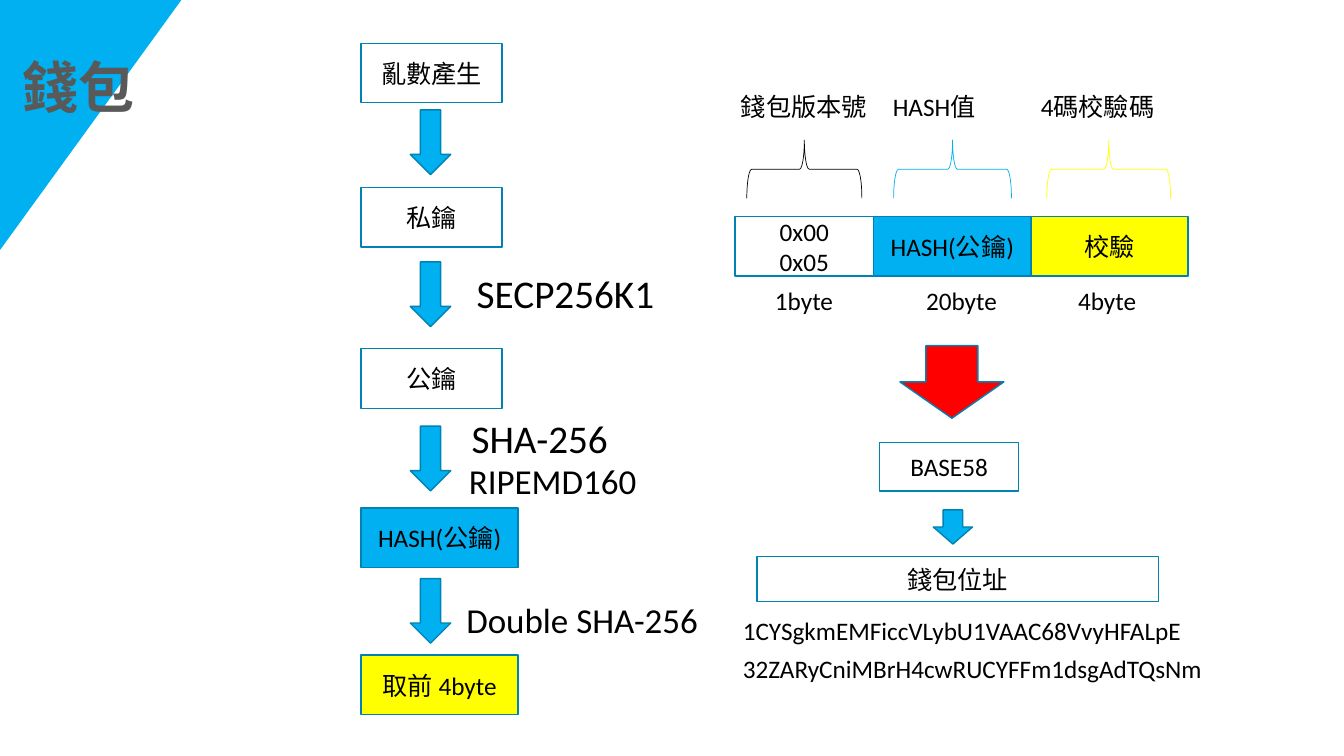
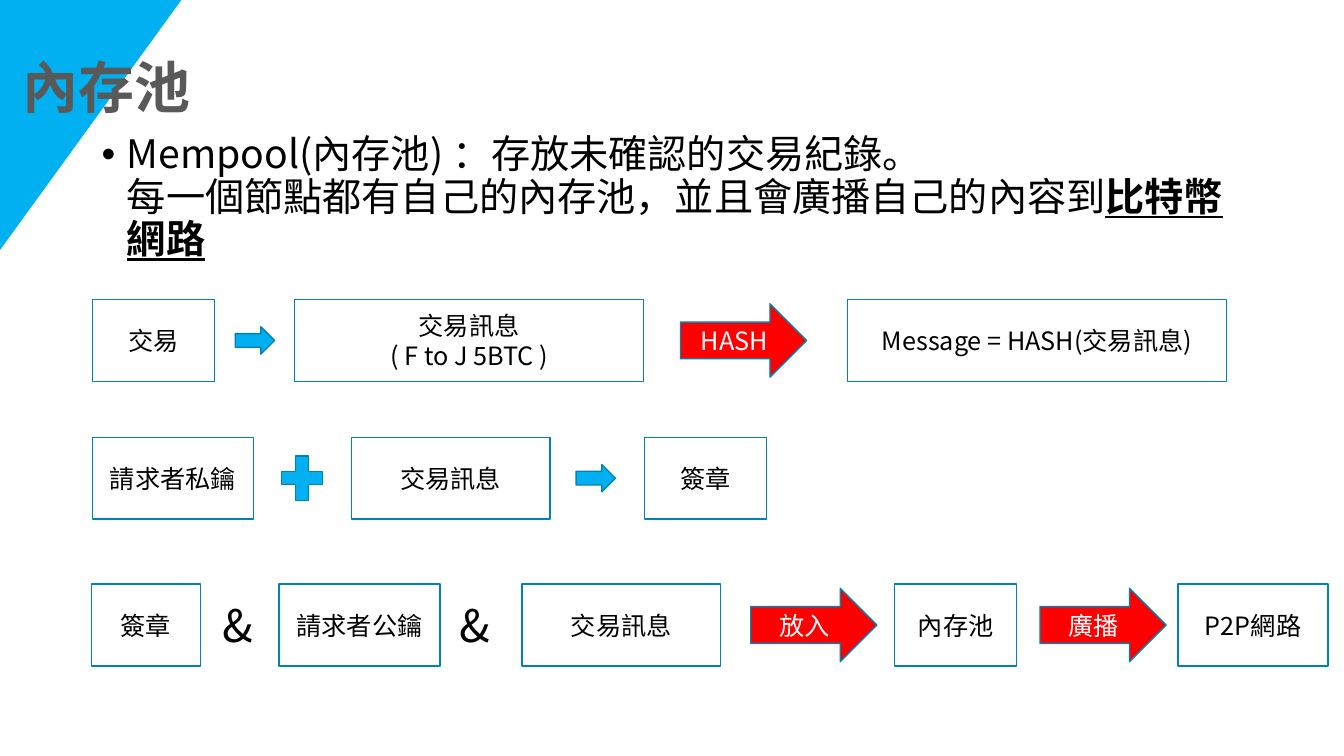
from lxml import etree
from pptx import Presentation
from pptx.dml.color import RGBColor
from pptx.enum.shapes import MSO_SHAPE
from pptx.enum.text import MSO_ANCHOR, PP_ALIGN
from pptx.oxml.ns import qn
from pptx.util import Cm, Pt

RECT, BRACE, TRIANGLE = MSO_SHAPE.RECTANGLE, MSO_SHAPE.LEFT_BRACE, MSO_SHAPE.ISOSCELES_TRIANGLE
DOWN, RIGHT, PLUS = MSO_SHAPE.DOWN_ARROW, MSO_SHAPE.RIGHT_ARROW, MSO_SHAPE.MATH_PLUS
LEFT, CENTER = PP_ALIGN.LEFT, PP_ALIGN.CENTER
TOP, MIDDLE = MSO_ANCHOR.TOP, MSO_ANCHOR.MIDDLE

BLUE, EDGE, RED, YELLOW = "00B0F0", "0082B2", "FF0000", "FFFF00"
WHITE, BLACK, GREY = "FFFFFF", "000000", "595959"
CALIBRI, ADVENTOR = "Calibri", "TeX Gyre Adventor"
NOTO, NOTO_TC = "Noto Sans CJK SC", "Noto Sans CJK TC"


def colour(value):
    return RGBColor.from_string(value)


def write(shape, text, font=CALIBRI, size=18, color=BLACK, bold=False,
          align=LEFT, anchor=TOP, spacing=None):
    """Fill a shape with one paragraph; text is a string or (string, overrides) runs."""
    frame = shape.text_frame
    frame.word_wrap = True
    frame.vertical_anchor = anchor
    paragraph = frame.paragraphs[0]
    paragraph.alignment = align
    if spacing:
        paragraph.line_spacing = spacing
    for content, overrides in [(text, {})] if isinstance(text, str) else text:
        for number, line in enumerate(content.split("\n")):
            if number:
                paragraph.add_line_break()
            run = paragraph.add_run()
            run.text = line
            style = run.font
            style.name = overrides.get("font", font)
            style.size = Pt(size)
            style.bold = overrides.get("bold", bold)
            style.underline = overrides.get("underline")
            style.color.rgb = colour(color)
            east_asian = etree.SubElement(run._r.get_or_add_rPr(), qn("a:ea"))
            east_asian.set("typeface", style.name if "Noto" in style.name else NOTO)
    return paragraph


def add_text(slide, x, y, width, height, text, **style):
    box = slide.shapes.add_textbox(Cm(x), Cm(y), Cm(width), Cm(height))
    return write(box, text, **style)


def add_figure(slide, kind, x, y, width, height, fill=None, line=EDGE, weight=1,
               text="", **style):
    figure = slide.shapes.add_shape(kind, Cm(x), Cm(y), Cm(width), Cm(height))
    figure.shadow.inherit = False
    if fill:
        figure.fill.solid()
        figure.fill.fore_color.rgb = colour(fill)
    else:
        figure.fill.background()
    if line:
        figure.line.color.rgb = colour(line)
        figure.line.width = Pt(weight)
    else:
        figure.line.fill.background()
    if text:
        write(figure, text, align=CENTER, anchor=MIDDLE, **style)
    return figure


def add_top_brace(slide, x, y, width, height, color):
    """Draw a brace that points up and fills the given box."""
    brace = add_figure(slide, BRACE, x + (width - height) / 2, y + (height - width) / 2,
                       height, width, line=color, weight=0.5)
    brace.rotation = 90


def add_titled_slide(deck, title, font):
    slide = deck.slides.add_slide(deck.slide_layouts[6])
    corner = add_figure(slide, TRIANGLE, 0, 0, 4.57, 6.3, BLUE, line=None)
    corner.adjustments[0] = 1
    corner.rotation = 180
    add_text(slide, 0.33, 1.09, 17.17, 2.01, title, font=font, size=40,
             color=GREY, bold=True, anchor=MIDDLE, spacing=1.1)
    return slide


def add_key_derivation(slide, left, top):
    stages = [
        (0, 3.55, "亂數產生", WHITE),
        (3.64, 3.55, "私鑰", WHITE),
        (7.7, 3.55, "公鑰", WHITE),
        (11.71, 3.96, "HASH(公鑰)", BLUE),
        (15.42, 3.96, "取前 4byte", YELLOW),
    ]
    for y, width, text, fill in stages:
        add_figure(slide, RECT, left, top + y, width, 1.5, fill, text=text)
    for y in (1.68, 5.51, 9.65, 13.49):
        add_figure(slide, DOWN, left + 1.24, top + y, 1.02, 1.63, BLUE)
    algorithms = [
        (2.6, 5.56, 5.1, "SECP256K1", 28),
        (2.45, 9.22, 4.1, "SHA-256", 28),
        (2.4, 10.37, 4.85, "RIPEMD160", 25),
        (2, 13.87, 7.14, "Double SHA-256", 25),
    ]
    for x, y, width, text, size in algorithms:
        add_text(slide, left + x, top + y, width, 1.4, text, size=size, align=CENTER)


def add_address_encoding(slide, left, top):
    # Each field: text, width, fill; then offset and width of heading, brace and byte count
    fields = [
        ("0x00\n0x05", 3.5, WHITE, BLACK,
         ("錢包版本號", -0.1, 3.75), (0.3, 2.9), ("1byte", 0.76, 2.1)),
        ("HASH(公鑰)", 3.96, BLUE, BLUE,
         ("HASH值", 0.23, 2.62), (0.5, 2.97), ("20byte", 1.07, 2.4)),
        ("校驗", 3.96, YELLOW, YELLOW,
         ("4碼校驗碼", 0, 3.4), (0.4, 3.12), ("4byte", 0.94, 2.1)),
    ]
    x = left
    for text, width, fill, brace_color, heading, brace, count in fields:
        add_figure(slide, RECT, x, top + 3.28, width, 1.5, fill, text=text)
        add_top_brace(slide, x + brace[0], top + 1.35, brace[1], 1.47, brace_color)
        for y, (label, offset, label_width) in ((0, heading), (4.88, count)):
            add_text(slide, x + offset, top + y, label_width, 1.02, label)
        x += width

    add_figure(slide, DOWN, left + 4.16, top + 6.53, 2.62, 1.83, RED)
    add_figure(slide, RECT, left + 3.65, top + 8.97, 3.5, 1.22, WHITE, text="BASE58")
    add_figure(slide, DOWN, left + 5, top + 10.67, 0.99, 0.86, BLUE)
    add_figure(slide, RECT, left + 0.56, top + 11.84, 10.11, 1.14, WHITE, text="錢包位址")
    addresses = ("1CYSgkmEMFiccVLybU1VAAC68VvyHFALpE", "32ZARyCniMBrH4cwRUCYFFm1dsgAdTQsNm")
    for row, address in enumerate(addresses):
        add_text(slide, left - 0.05, top + 13.19 + 0.97 * row, 12.3, 1.02, address)


def add_definition(slide, left, top, width, height):
    runs = [
        ("Mempool(內存池) ", {}),
        ("：", {"font": NOTO_TC}),
        ("存放未確認的交易紀錄。\n每一個節點都有自己的內存池，並且會廣播自己的內容到", {}),
        ("比特幣網路", {"bold": True, "underline": True}),
    ]
    paragraph = add_text(slide, left, top, width, height, runs, font=NOTO, size=28, spacing=0.9)
    paragraph.space_before = Pt(10)
    properties = paragraph._p.get_or_add_pPr()
    properties.set("marL", str(Cm(0.64)))
    properties.set("indent", str(-Cm(0.64)))
    etree.SubElement(properties, qn("a:buFont")).set("typeface", "Arial")
    etree.SubElement(properties, qn("a:buChar")).set("char", "•")


def add_flow(slide, left, middle, steps):
    """Place (role, offset, text, width) steps centred on one horizontal line."""
    roles = {
        "next": (RIGHT, 0.99, 0.69, BLUE),
        "action": (RIGHT, 3.18, 1.85, RED),
        "plus": (PLUS, 1.42, 1.52, BLUE),
        "item": (RECT, None, 2.06, WHITE),
    }
    for role, offset, text, item_width in steps:
        x = left + offset
        if role == "and":
            add_text(slide, x, middle - 0.8, 1.52, 1.6, text, font=NOTO, size=32, anchor=MIDDLE)
            continue
        kind, width, height, fill = roles[role]
        add_figure(slide, kind, x, middle - height / 2, width or item_width, height, fill,
                   text=text, font=NOTO, color=WHITE if role == "action" else BLACK)


def build_wallet(deck):
    slide = add_titled_slide(deck, "錢包", ADVENTOR)
    add_key_derivation(slide, 9.1, 1.09)
    add_address_encoding(slide, 18.52, 2.18)


def build_mempool(deck):
    slide = add_titled_slide(deck, "內存池", NOTO)
    add_definition(slide, 2.31, 3.28, 29.21, 4)
    add_flow(slide, 2.33, 8.58, [
        ("item", 0, "交易", 3.07),
        ("next", 3.6, "", None),
        ("item", 5.1, "交易訊息\n( F to J 5BTC )", 8.79),
        ("action", 14.82, "HASH", None),
        ("item", 19.03, "Message = HASH(交易訊息)", 9.55),
    ])
    add_flow(slide, 2.33, 12.05, [
        ("item", 0, "請求者私鑰", 4.06),
        ("plus", 4.57, "", None),
        ("item", 6.53, "交易訊息", 5),
        ("next", 12.19, "", None),
        ("item", 13.92, "簽章", 3.07),
    ])
    add_flow(slide, 2.31, 15.75, [
        ("item", 0, "簽章", 2.74),
        ("and", 3.05, "&", None),
        ("item", 4.72, "請求者公鑰", 4.06),
        ("and", 9.02, "&", None),
        ("item", 10.85, "交易訊息", 5),
        ("action", 16.61, "放入", None),
        ("item", 20.24, "內存池", 3.07),
        ("action", 23.9, "廣播", None),
        ("item", 27.38, "P2P網路", 3.78),
    ])


def main():
    deck = Presentation()
    deck.slide_width, deck.slide_height = Cm(33.87), Cm(19.05)
    build_wallet(deck)
    build_mempool(deck)
    deck.save("out.pptx")


if __name__ == "__main__":
    main()
